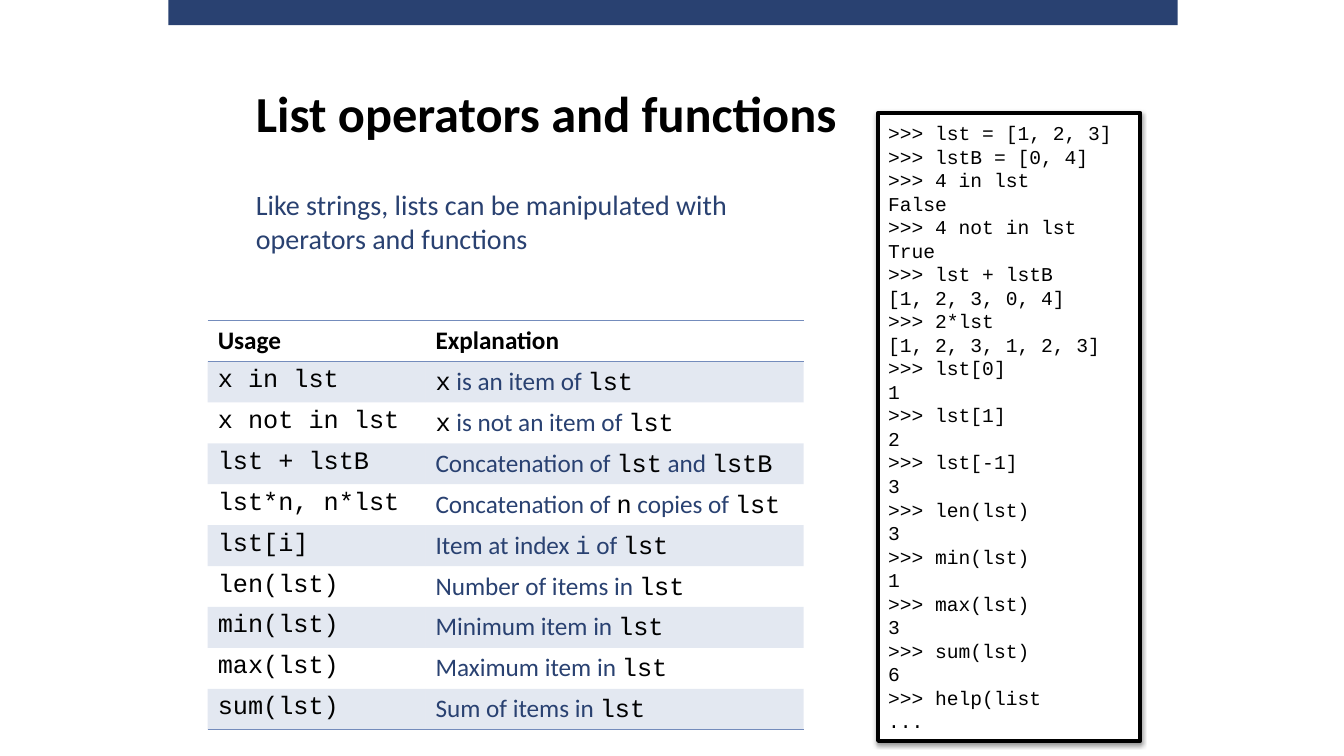
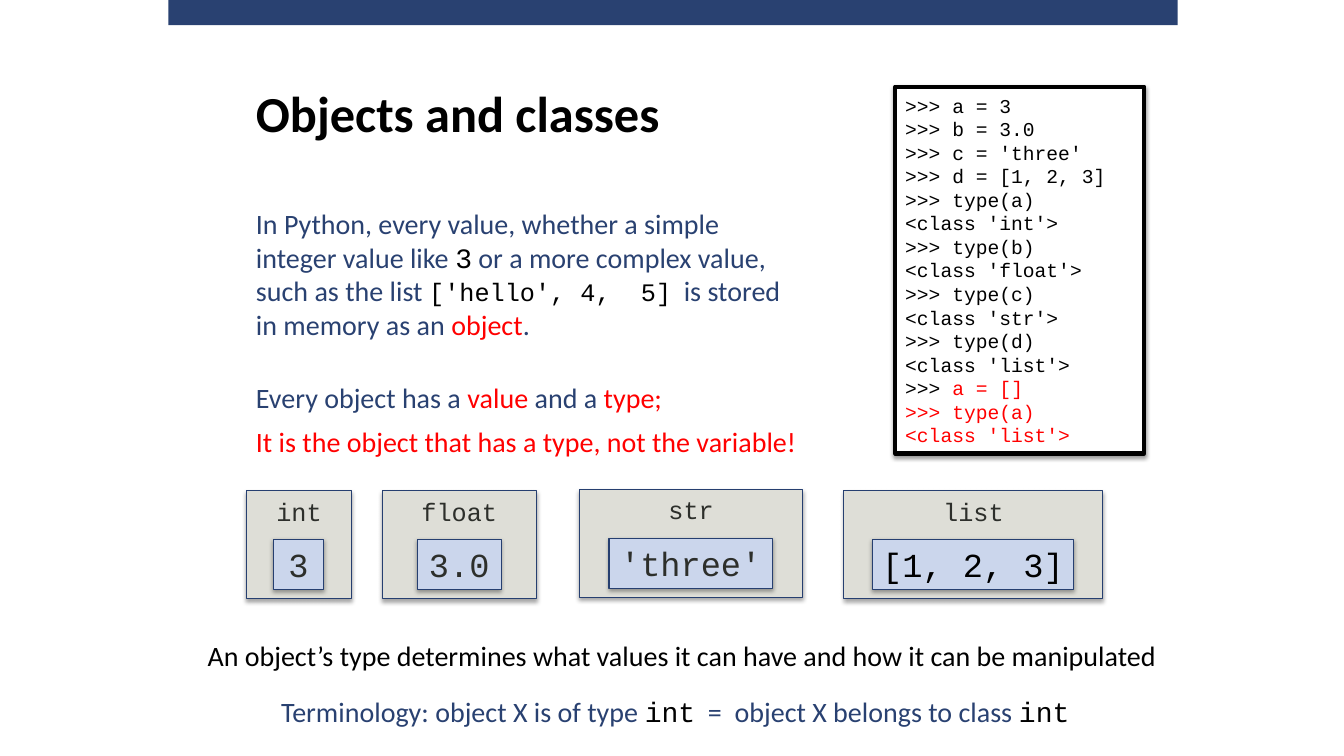
"""Build two slides on Python lists, objects and classes."""
from dataclasses import dataclass
from itertools import cycle

from lxml import etree
from pptx import Presentation
from pptx import util as u
from pptx.dml import color as hue
from pptx.enum import shapes, text
from pptx.oxml import ns

PX = 9144


@dataclass(frozen=True)
class Theme:
    """Hold the colours, faces and type sizes of the deck."""
    navy: str = "294171"
    edge: str = "263F70"
    rule: str = "748CBC"
    black: str = "000000"
    white: str = "FFFFFF"
    red: str = "FF0000"
    ink: str = "2D2F2B"
    card: str = "DEDED7"
    chip: str = "CBD6EC"
    sans: str = "Calibri"
    mono: str = "Courier New"
    head: int = 36
    big: int = 24
    body: int = 20
    cell: int = 18
    code: int = 14


T = Theme()
CODE = {"face": T.mono, "color": T.black}
RED = {"color": T.red}
MID = text.MSO_ANCHOR.MIDDLE
TOP = text.MSO_ANCHOR.TOP
PLAIN = "{2D5ABB26-0587-4C30-8999-92F81FD0307C}"

USAGE = [
    ("x in lst", "`x` is an item of `lst`"),
    ("x not in lst", "`x` is not an item of `lst`"),
    ("lst + lstB", "Concatenation of `lst` and `lstB`"),
    ("lst*n, n*lst", "Concatenation of `n` copies of `lst`"),
    ("lst[i]", "Item at index `i` of `lst`"),
    ("len(lst)", "Number of items in `lst`"),
    ("min(lst)", "Minimum item in `lst`"),
    ("max(lst)", "Maximum item in `lst`"),
    ("sum(lst)", "Sum of items in `lst`"),
]

LISTS = """>>> lst = [1, 2, 3]
>>> lstB = [0, 4]
>>> 4 in lst
False
>>> 4 not in lst
True
>>> lst + lstB
[1, 2, 3, 0, 4]
>>> 2*lst
[1, 2, 3, 1, 2, 3]
>>> lst[0]
1
>>> lst[1]
2
>>> lst[-1]
3
>>> len(lst)
3
>>> min(lst)
1
>>> max(lst)
3
>>> sum(lst)
6
>>> help(list
..."""

TYPES = """>>> a = 3
>>> b = 3.0
>>> c = 'three'
>>> d = [1, 2, 3]
>>> type(a)
<class 'int'>
>>> type(b)
<class 'float'>
>>> type(c)
<class 'str'>
>>> type(d)
<class 'list'>
>>> `a = []`
`>>> type(a)`
`<class 'list'>`"""

CARDS = [
    ((244, 487, 105, 107), "int", "3", 50, T.ink),
    ((379, 487, 153, 107), "float", "3.0", 83, T.ink),
    ((575, 486, 221, 107), "str", "'three'", 162, T.ink),
    ((837, 487, 257, 107), "list", "[1, 2, 3]", 200, T.black),
]


def emu(box):
    """Turn px lengths into EMU."""
    return [u.Emu(v * PX) for v in box]


def rgb(code):
    """Read a hex colour."""
    return hue.RGBColor.from_string(code)


def write(frame, words, marks=(CODE,), face=T.sans, size=T.body, color=T.navy,
          bold=False, align=None, anchor=MID, wrap=True):
    """Fill a frame line by line, giving each backticked part the next mark."""
    frame.word_wrap = wrap
    frame.vertical_anchor = anchor
    base = {"face": face, "size": size, "color": color}
    for n, line in enumerate(words.split("\n")):
        para = frame.add_paragraph() if n else frame.paragraphs[0]
        para.alignment = align
        looks = cycle(marks)
        for k, part in enumerate(line.split("`")):
            look = base | next(looks) if k % 2 else base
            if part:
                run = para.add_run()
                run.text = part
                run.font.name = look["face"]
                run.font.size = u.Pt(look["size"])
                run.font.bold = bold
                run.font.color.rgb = rgb(look["color"])


def label(slide, box, words, **form):
    """Place a text box."""
    write(slide.shapes.add_textbox(*emu(box)).text_frame, words, **form)


def block(slide, box, fill, line=None, width=0.75, shade=None, drop=1.8):
    """Place a rectangle with an optional outline and shadow."""
    rect = slide.shapes.add_shape(shapes.MSO_SHAPE.RECTANGLE, *emu(box))
    rect.shadow.inherit = False
    rect.fill.solid()
    rect.fill.fore_color.rgb = rgb(fill)
    if line:
        rect.line.color.rgb = rgb(line)
        rect.line.width = u.Pt(width)
    else:
        rect.line.fill.background()
    if shade:
        glow = etree.SubElement(
            rect._element.spPr.find(ns.qn("a:effectLst")), ns.qn("a:outerShdw"),
            blurRad=str(u.Pt(3.1)), dist=str(u.Pt(drop)), dir="5400000",
            rotWithShape="0")
        tone = etree.SubElement(glow, ns.qn("a:srgbClr"), val=T.black)
        etree.SubElement(tone, ns.qn("a:alpha"), val=str(shade * 1000))
    return rect


def frame(deck, title):
    """Add a slide with its top band and title."""
    slide = deck.slides.add_slide(deck.slide_layouts[6])
    block(slide, (167, 0, 1001, 25), T.navy)
    label(slide, (244, 81, 850, 61), title, size=T.head, color=T.black, bold=True)
    return slide


def shell(slide, box, words):
    """Place a framed code session."""
    rect = block(slide, box, T.white, T.black, 3, 38, 1.6)
    write(rect.text_frame, words, marks=(RED,), face=T.mono, size=T.code,
          color=T.black, align=text.PP_ALIGN.LEFT)


def card(slide, box, kind, value, wide, color):
    """Place a type card with its value chip centred inside."""
    x, y, w, h = box
    mid = text.PP_ALIGN.CENTER
    outer = block(slide, box, T.card, T.edge, shade=35)
    write(outer.text_frame, kind, face=T.mono, size=T.cell, color=T.ink,
          align=mid, anchor=TOP)
    inner = block(slide, (x + (w - wide) // 2, y + 48, wide, 50),
                  T.chip, T.edge, shade=35)
    write(inner.text_frame, value, face=T.mono, size=T.big, color=color,
          align=mid, wrap=False)


def border(cell, sides):
    """Rule the given sides of a cell."""
    props = cell._tc.get_or_add_tcPr()
    for n, side in enumerate(sides):
        line = etree.Element(ns.qn("a:ln" + side), w=str(u.Pt(1)))
        fill = etree.SubElement(line, ns.qn("a:solidFill"))
        etree.SubElement(fill, ns.qn("a:srgbClr"), val=T.rule)
        props.insert(n, line)


def tint(cell):
    """Give a cell the pale stripe fill."""
    cell.fill.solid()
    cell.fill.fore_color.rgb = rgb(T.rule)
    tone = cell._tc.tcPr.find(".//" + ns.qn("a:srgbClr"))
    etree.SubElement(tone, ns.qn("a:alpha"), val="20000")


def grid(slide, box, first):
    """Place the striped usage table."""
    rows = [("Usage", "Explanation")] + USAGE
    table = slide.shapes.add_table(len(rows), 2, *emu(box)).table
    table._tbl.tblPr.find(ns.qn("a:tableStyleId")).text = PLAIN
    table.horz_banding = False
    for col, wide in zip(table.columns, (first, box[2] - first)):
        col.width = u.Emu(wide * PX)
    for r, row in enumerate(rows):
        for c, words in enumerate(row):
            cell = table.cell(r, c)
            if r == 0:
                form = {"color": T.black, "bold": True}
            elif c == 0:
                form = CODE
            elif "`i`" in words:
                form = {"marks": ({"face": T.mono}, CODE)}
            else:
                form = {}
            write(cell.text_frame, words, size=T.cell, anchor=TOP, **form)
            if r % 2:
                tint(cell)
            else:
                cell.fill.background()
            if r == 0:
                border(cell, "TB")
            elif r == len(rows) - 1:
                border(cell, "B")


def lists(deck):
    """Build the slide on list operators."""
    slide = frame(deck, "List operators and functions")
    label(slide, (244, 181, 530, 77),
          "Like strings, lists can be manipulated with operators and functions")
    shell(slide, (871, 112, 260, 623), LISTS)
    grid(slide, (206, 318, 591, 406), 216)


def types(deck):
    """Build the slide on objects and classes."""
    slide = frame(deck, "Objects and classes")
    label(slide, (244, 199, 552, 145),
          "In Python, every value, whether a simple integer value like `3` or a "
          "more complex value, such as the list `['hello', 4,  5]`  is stored in "
          "memory as an `object`.",
          marks=(CODE, CODE | {"size": T.cell}, RED))
    label(slide, (244, 372, 435, 44),
          "Every object has a `value `and a `type;`", marks=(RED,))
    label(slide, (244, 416, 561, 44),
          "It is the object that has a type, not the variable!", color=T.red)
    shell(slide, (888, 86, 247, 364), TYPES)
    for item in CARDS:
        card(slide, *item)
    label(slide, (196, 628, 972, 44),
          "An object’s type determines what values it can have and how it can "
          "be manipulated", color=T.black)
    label(slide, (269, 684, 820, 44),
          "Terminology: object X is of type `int`  =  object X belongs to class `int`")


def main():
    """Build and save the deck."""
    deck = Presentation()
    deck.slide_width, deck.slide_height = emu((1333, 750))
    lists(deck)
    types(deck)
    deck.save("out.pptx")


if __name__ == "__main__":
    main()
